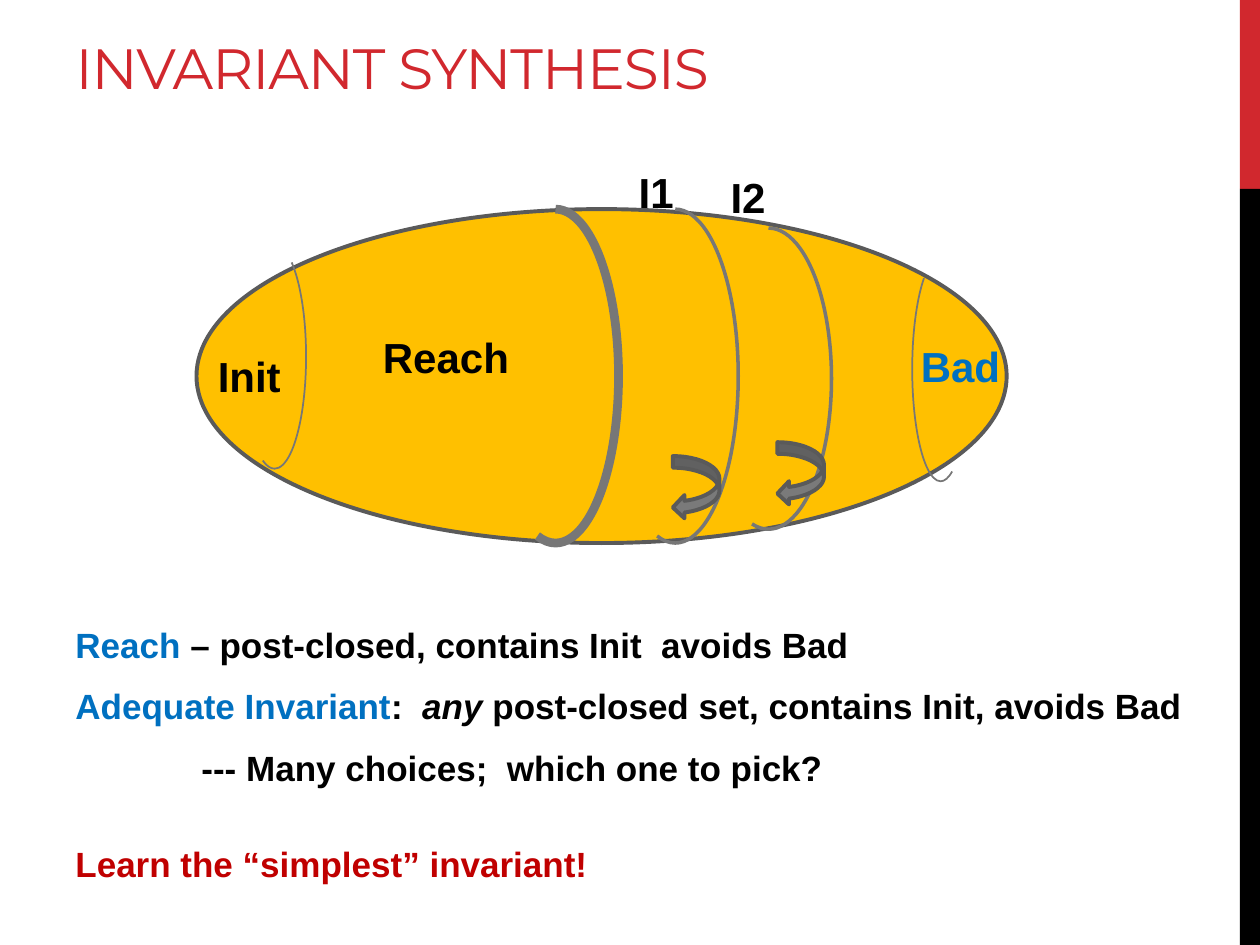
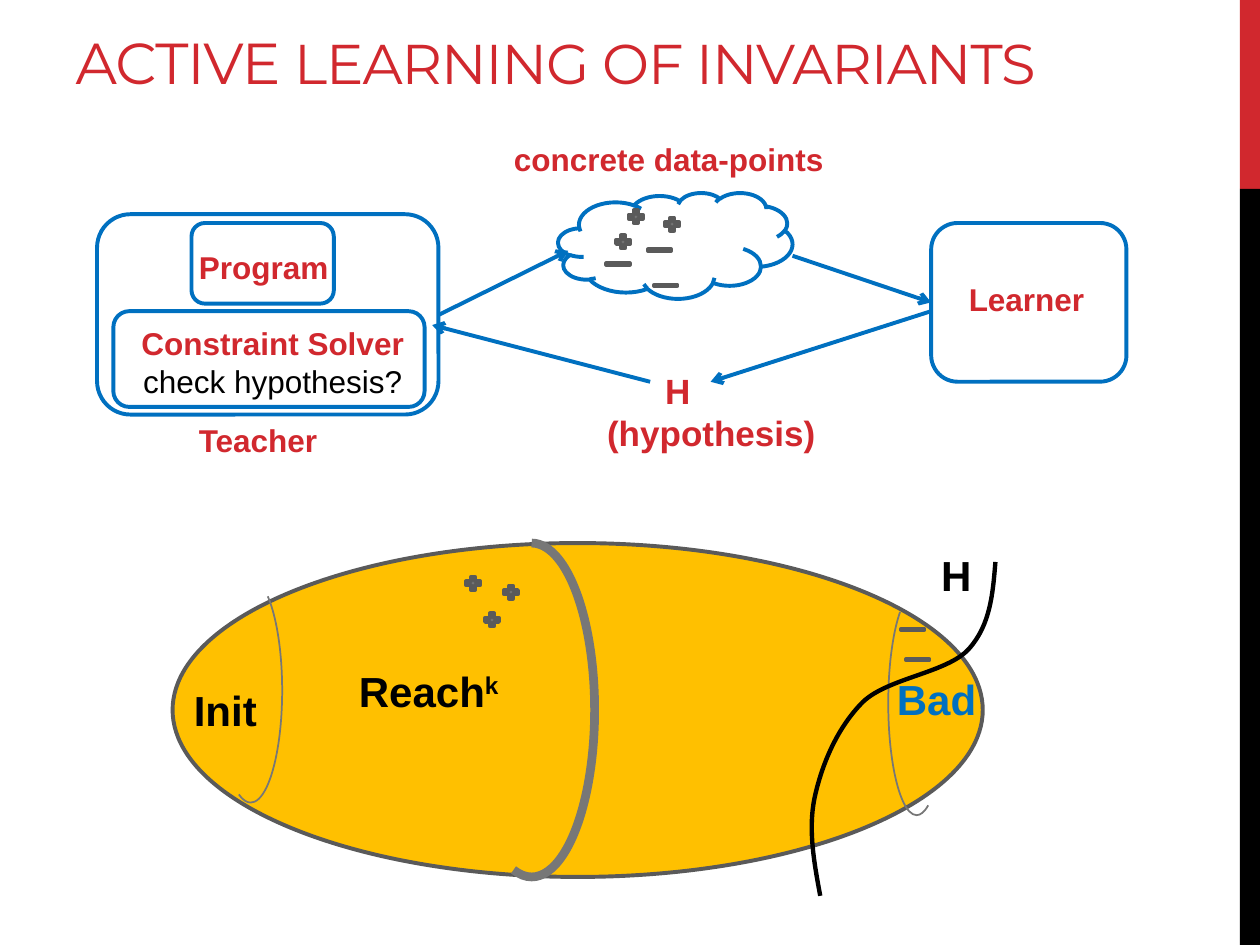
from dataclasses import dataclass

from lxml.etree import SubElement
from pptx import Presentation
from pptx.dml.color import RGBColor as Color
from pptx.enum.shapes import MSO_CONNECTOR as Connector, MSO_SHAPE as Preset
from pptx.enum.text import MSO_ANCHOR as Anchor, MSO_AUTO_SIZE as AutoSize, PP_ALIGN as Align
from pptx.oxml.ns import qn
from pptx.util import Inches, Pt


@dataclass(frozen=True)
class Theme:
    red: str = "D1282E"
    deep_red: str = "C00000"
    blue: str = "0070C0"
    black: str = "000000"
    amber: str = "FFC000"
    grey: str = "7A7A7A"
    edge: str = "5A5A5A"
    arc: str = "777777"
    heading: str = "Montserrat"
    body: str = "Arial"
    label: float = 24
    text: float = 20
    note: float = 18
    outline: float = 2.25


THEME = Theme()
TITLE_ONLY = 5
HALF_ARC = (162, 57.88)
END_ARC = (168.18, 57.88)


def apply(target, values):
    for name, value in values.items():
        setattr(target, name, value)


def add_span(para, text, color, size, font=THEME.body, extra=None, **style):
    span = para.add_run()
    span.text = text
    apply(span.font, {"name": font, "size": Pt(size), "bold": True, **style})
    span.font.color.rgb = Color.from_string(color)
    for name, value in (extra or {}).items():
        span._r.get_or_add_rPr().set(name, value)


def add_text(page, at, lines, size, wrap=False, align=Align.LEFT):
    box = page.shapes.add_textbox(*map(Inches, at))
    frame = box.text_frame
    apply(frame, {"word_wrap": wrap, "auto_size": AutoSize.SHAPE_TO_FIT_TEXT})
    for index, spans in enumerate(lines):
        para = frame.paragraphs[0] if index == 0 else frame.add_paragraph()
        para.alignment = align
        for text, color, style in spans:
            add_span(para, text, color, size, **style)
    return frame


def add_label(page, at, text, color=THEME.black, size=THEME.label, wrap=False):
    return add_text(page, at, [[(text, color, {})]], size, wrap)


def indent(para, inches):
    properties = para._p.get_or_add_pPr()
    properties.set("marL", str(Inches(inches)))
    properties.set("indent", "0")


def paint(shape, fill, line, width):
    shape.shadow.inherit = False
    if fill:
        shape.fill.solid()
        shape.fill.fore_color.rgb = Color.from_string(fill)
    else:
        shape.fill.background()
    if line:
        shape.line.color.rgb = Color.from_string(line)
        shape.line.width = Pt(width)
    else:
        shape.line.fill.background()


def add_preset(page, kind, at, fill=None, line=None, width=THEME.outline):
    shape = page.shapes.add_shape(kind, *map(Inches, at))
    paint(shape, fill, line, width)
    return shape


def add_arc(page, at, angles, width, flip=False):
    shape = add_preset(page, Preset.ARC, at, line=THEME.arc, width=width)
    for index, angle in enumerate(angles):
        shape.adjustments[index] = angle
    if flip:
        shape._element.spPr.find(qn("a:xfrm")).set("flipH", "1")


def add_signs(page, kind, size, places):
    for place in places:
        add_preset(page, kind, (*place, *size), THEME.grey, THEME.edge)


def add_pluses(page, places):
    add_signs(page, Preset.MATH_PLUS, (0.15, 0.14), places)


def add_minuses(page, places):
    add_signs(page, Preset.MATH_MINUS, (0.25, 0.05), places)


def add_arrow(page, start, end):
    arrow = page.shapes.add_connector(Connector.STRAIGHT, *map(Inches, (*start, *end)))
    arrow.line.color.rgb = Color.from_string(THEME.blue)
    arrow.line.width = Pt(THEME.outline)
    SubElement(arrow.line._get_or_add_ln(), qn("a:tailEnd"), type="arrow")
    SubElement(arrow._element.spPr, qn("a:effectLst"))


def add_curve(page, start, points, color, width):
    builder = page.shapes.build_freeform(*map(Inches, start))
    builder.add_line_segments([tuple(map(Inches, point)) for point in points], close=False)
    shape = builder.convert_to_shape()
    paint(shape, None, color, width)
    outline = next(shape._element.iter(qn("a:path")))
    segments = outline.findall(qn("a:lnTo"))
    for first in range(0, len(segments), 3):
        bezier = SubElement(outline, qn("a:cubicBezTo"))
        for segment in segments[first:first + 3]:
            bezier.append(segment[0])
            outline.remove(segment)


def add_bands(page, layout):
    for top, height, color in ((0, 1.5, THEME.red), (1.5, 6, THEME.black)):
        band = add_preset(page, Preset.RECTANGLE, (9.84, top, 0.16, height), color)
        layout.shapes._spTree.append(band._element)


def add_title(page, at, spans):
    title = page.shapes.title
    apply(title, dict(zip(("left", "top", "width", "height"), map(Inches, at))))
    apply(title.text_frame, {"vertical_anchor": Anchor.BOTTOM, "word_wrap": True,
                             "auto_size": AutoSize.NONE, "margin_bottom": Inches(0.02)})
    para = title.text_frame.paragraphs[0]
    para.alignment = Align.LEFT
    for text, size in spans:
        add_span(para, text, THEME.red, size, THEME.heading, {"spc": "-60"}, bold=False)


def add_state_space(page, left, top, reach):
    def place(x, y, width, height):
        return left + x, top + y, width, height

    add_preset(page, Preset.OVAL, place(0, 0, 6.43, 2.65), THEME.amber, THEME.edge)
    add_arc(page, place(2.35, 0, 1, 2.65), HALF_ARC, 5)
    add_text(page, place(1.38, 0.92, 1.21 if len(reach) == 1 else 1.34, 0.5), [reach], THEME.label)
    add_arc(page, place(0.37, 0.28, 0.5, 1.78), END_ARC, 1)
    add_label(page, place(0.07, 1.07, 0.71, 0.5), "Init")
    add_arc(page, place(5.68, 0.38, 0.45, 1.78), END_ARC, 1, flip=True)
    add_label(page, place(5.65, 0.99, 0.84, 0.5), "Bad", THEME.blue)


def build_synthesis(page):
    add_title(page, (0.5, 0.17, 6.33, 0.65), [("INVARIANT SYNTHESIS", 32.4)])
    add_state_space(page, 1.56, 1.66, [("Reach", THEME.black, {})])
    invariants = (
        ("I1", (4.97, 1.27), (4.86, 1.66, 1, 2.65), (5.34, 3.62)),
        ("I2", (5.7, 1.31), (5.6, 1.81, 1, 2.39), (6.17, 3.51)),
    )
    for name, label, boundary, turn in invariants:
        add_arc(page, boundary, HALF_ARC, 2)
        add_label(page, (*label, 0.48, 0.5), name)
        add_preset(page, Preset.CURVED_LEFT_ARROW, (*turn, 0.37, 0.5), THEME.grey, THEME.edge)
    lines = [
        [("Reach", THEME.blue, {}),
         (" – post-closed, contains Init  avoids Bad", THEME.black, {})],
        [("Adequate Invariant", THEME.blue, {}), (":  ", THEME.black, {}),
         ("any", THEME.black, {"italic": True}),
         (" post-closed set, contains Init, avoids Bad", THEME.black, {})],
        [("--- Many choices;  which one to pick?", THEME.black, {})],
        [("Learn the “simplest” invariant!", THEME.deep_red, {})],
    ]
    frame = add_text(page, (0.5, 4.9, 9.25, 2.2), lines, THEME.text, wrap=True)
    for para, before in zip(frame.paragraphs, (0, 5, 5, 25)):
        apply(para, {"space_before": Pt(before), "space_after": Pt(6)})
    indent(frame.paragraphs[2], 1)


def add_learning_loop(page):
    boxes = (
        (0.77, 1.7, 2.71, 1.59),
        (1.52, 1.77, 1.13, 0.64),
        (0.9, 2.47, 2.47, 0.76),
        (7.39, 1.77, 1.55, 1.26),
    )
    for at in boxes:
        add_preset(page, Preset.ROUNDED_RECTANGLE, at, line=THEME.blue)
    add_preset(page, Preset.CLOUD, (4.43, 1.53, 1.86, 0.84), line=THEME.blue)
    add_pluses(page, [(4.87, 1.85), (4.97, 1.65), (5.26, 1.71)])
    add_minuses(page, [(4.78, 2.07), (5.16, 2.24), (5.11, 1.96)])
    arrows = (
        ((3.48, 2.5), (4.51, 1.99)),
        ((6.29, 2.03), (7.39, 2.4)),
        ((7.39, 2.47), (5.64, 3.03)),
        ((5.16, 3.03), (3.43, 2.58)),
    )
    for start, end in arrows:
        add_arrow(page, start, end)
    labels = (
        ("Program", (1.48, 1.92, 1.31, 0.4), True),
        ("Learner", (7.59, 2.17, 1.42, 0.4), True),
        ("Teacher", (1.48, 3.29, 1.16, 0.4), True),
        ("concrete data-points", (3.98, 1.06, 2.68, 0.4), False),
    )
    for text, at, wrap in labels:
        add_label(page, at, text, THEME.red, THEME.note, wrap)
    solver = [[("Constraint Solver", THEME.red, {})],
              [("check hypothesis?", THEME.black, {"bold": False})]]
    add_text(page, (0.9, 2.52, 2.53, 0.71), solver, THEME.note, True, Align.CENTER)
    hypothesis = [[("H", THEME.red, {})], [("(hypothesis)", THEME.red, {})]]
    frame = add_text(page, (4.72, 2.88, 2.5, 0.77), hypothesis, THEME.text, True)
    indent(frame.paragraphs[0], 0.46)


def build_learning(page):
    add_title(page, (0.5, 0.13, 9.01, 0.65), [("ACTIVE", 33), (" LEARNING OF INVARIANTS", 32)])
    add_learning_loop(page)
    reach = [("Reach", THEME.black, {}), ("k", THEME.black, {"extra": {"baseline": "30000"}})]
    add_state_space(page, 1.37, 4.31, reach)
    add_label(page, (7.37, 4.31, 0.45, 0.5), "H")
    add_pluses(page, [(3.68, 4.56), (3.98, 4.63), (3.83, 4.85)])
    boundary = (
        (7.88, 4.71), (7.86, 4.96), (7.69, 5.15),
        (7.52, 5.34), (7.05, 5.38), (6.85, 5.57),
        (6.65, 5.77), (6.53, 6.05), (6.47, 6.31),
        (6.41, 6.57), (6.46, 6.84), (6.51, 7.11),
    )
    add_curve(page, (7.9, 4.46), boundary, THEME.black, 2.5)
    add_minuses(page, [(7.12, 4.97), (7.16, 5.21)])


def main():
    deck = Presentation()
    apply(deck, {"slide_width": Inches(10), "slide_height": Inches(7.5)})
    layout = deck.slide_layouts[TITLE_ONLY]
    pages = [deck.slides.add_slide(layout) for _ in range(2)]
    add_bands(pages[0], layout)
    for build, page in zip((build_synthesis, build_learning), pages):
        build(page)
    deck.save("out.pptx")


main()
